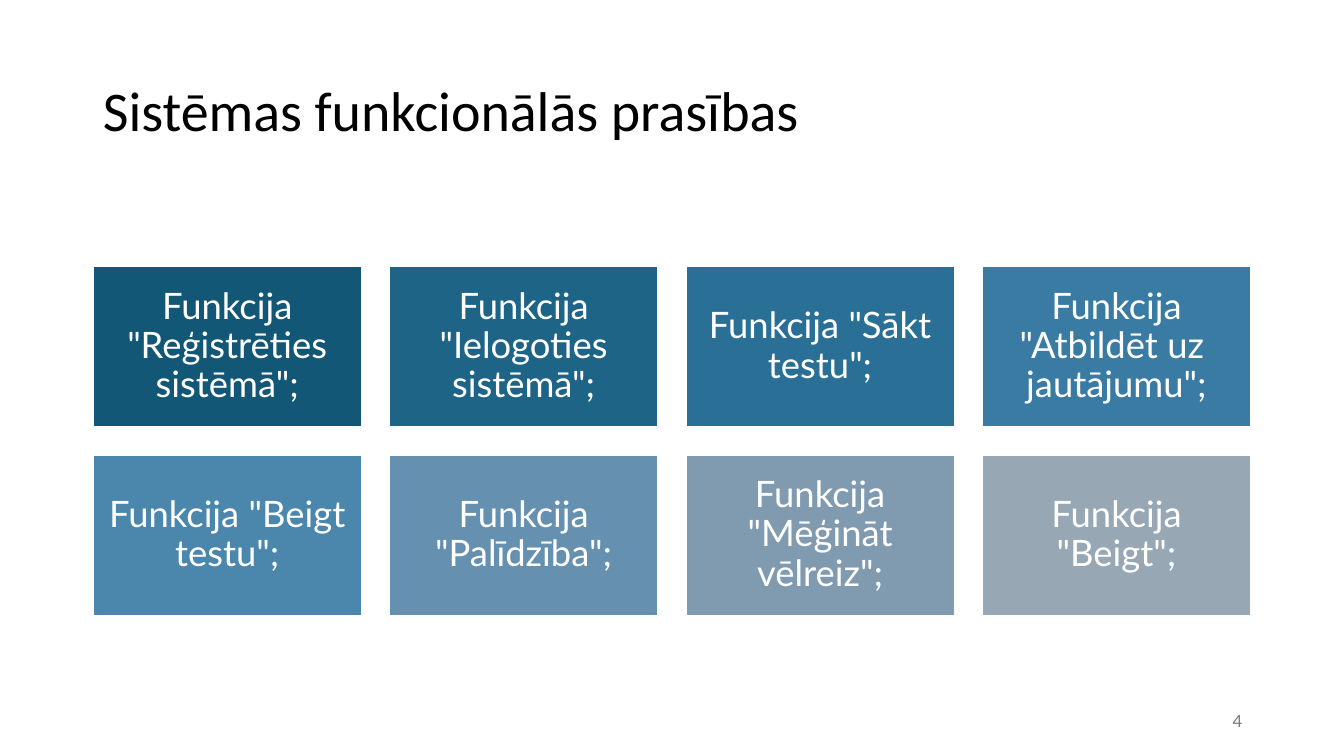
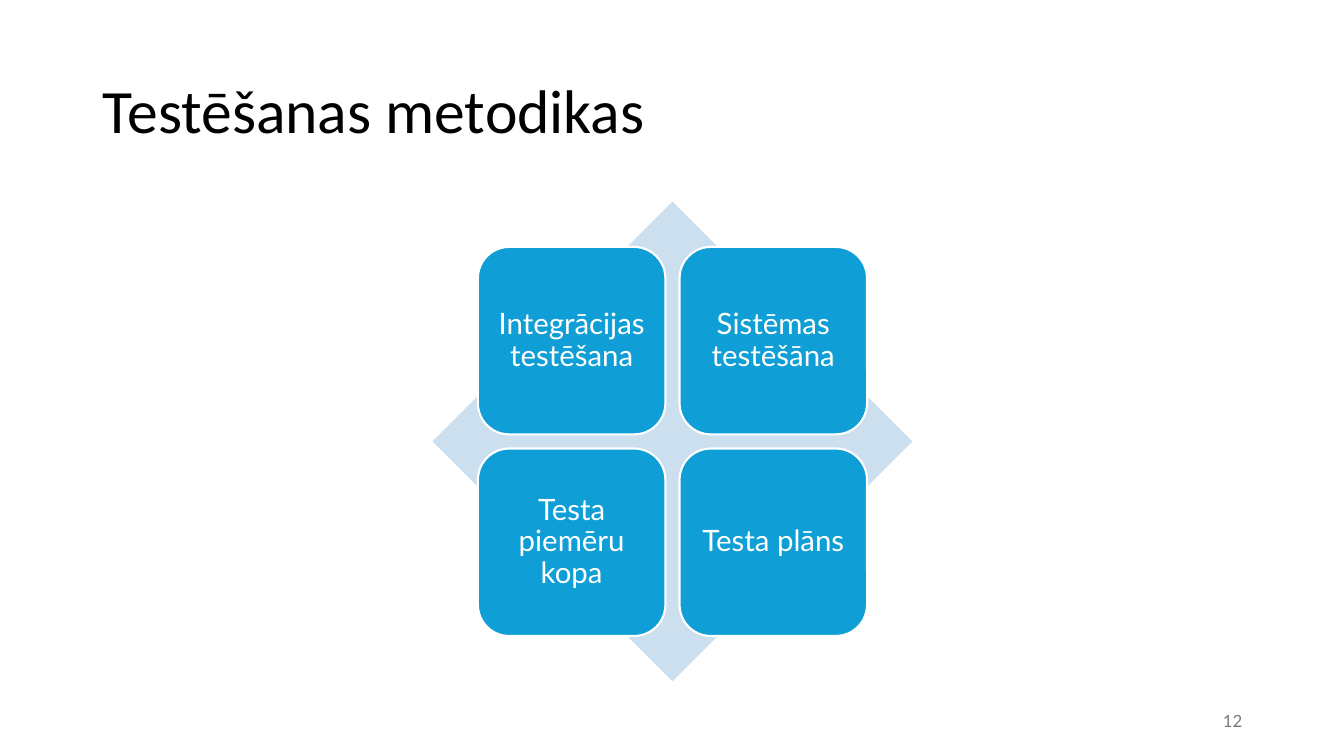
from pptx import Presentation
from pptx.dml.color import RGBColor
from pptx.enum.shapes import MSO_SHAPE as Shape
from pptx.enum.text import MSO_ANCHOR as Anchor, MSO_AUTO_SIZE as AutoSize, PP_ALIGN as Align
from pptx.util import Inches, Pt


def rgb(value):
    return RGBColor.from_string(value)


class Deck:
    TITLE_FONT = "Calibri"
    BODY_FONT = "Lato"
    BLACK = "000000"
    WHITE = "FFFFFF"
    GREY = "797979"
    TITLE_LAYOUT = 5

    def __init__(self):
        self.presentation = Presentation()
        self.presentation.slide_width = Inches(13.33)
        self.presentation.slide_height = Inches(7.5)
        self.slide = None

    def new_slide(self, title, title_size, number):
        layout = self.presentation.slide_layouts[self.TITLE_LAYOUT]
        self.slide = self.presentation.slides.add_slide(layout)
        heading = self.slide.shapes.title
        heading.left, heading.top = Inches(0.92), Inches(0.4)
        heading.width, heading.height = Inches(11.5), Inches(1.45)
        self.set_text(heading.text_frame, title, title_size, self.BLACK,
                      Align.LEFT, self.TITLE_FONT, spacing=0.9)
        self.page_number(number)

    def page_number(self, number):
        footer = self.slide.shapes.add_textbox(
            Inches(9.42), Inches(6.95), Inches(3), Inches(0.4))
        self.set_text(footer.text_frame, str(number), 12, self.GREY, Align.RIGHT)

    def set_text(self, frame, text, size, color, align, font=BODY_FONT, spacing=1.0):
        frame.text = text
        frame.word_wrap = True
        frame.auto_size = AutoSize.NONE
        frame.vertical_anchor = Anchor.MIDDLE
        paragraph = frame.paragraphs[0]
        paragraph.alignment = align
        paragraph.line_spacing = spacing
        for run in paragraph.runs:
            run.font.name = font
            run.font.size = Pt(size)
            run.font.color.rgb = rgb(color)

    def block(self, kind, left, top, width, height, fill, outlined=True):
        block = self.slide.shapes.add_shape(
            kind, Inches(left), Inches(top), Inches(width), Inches(height))
        block.shadow.inherit = False
        block.fill.solid()
        block.fill.fore_color.rgb = rgb(fill)
        if outlined:
            block.line.color.rgb = rgb(self.WHITE)
            block.line.width = Pt(1.5)
        else:
            block.line.fill.background()
        return block

    def grid(self, kind, entries, columns, origin, size, gap, text_size, inset):
        (left, top), (width, height) = origin, size
        for index, (label, fill) in enumerate(entries):
            row, column = divmod(index, columns)
            tile = self.block(kind, left + column * (width + gap),
                              top + row * (height + gap), width, height, fill)
            frame = tile.text_frame
            frame.margin_left = frame.margin_right = Inches(inset)
            frame.margin_top = frame.margin_bottom = Inches(inset)
            self.set_text(frame, label, text_size, self.WHITE, Align.CENTER, spacing=0.9)


def functional_requirements(deck):
    functions = [
        ('Funkcija "Reģistrēties sistēmā";', "135776"),
        ('Funkcija "Ielogoties sistēmā";', "1E6487"),
        ('Funkcija "Sākt testu";', "2A7096"),
        ('Funkcija "Atbildēt uz  jautājumu";', "3A7BA3"),
        ('Funkcija "Beigt testu";', "4B86AD"),
        ('Funkcija "Palīdzība";', "6590AF"),
        ('Funkcija "Mēģināt vēlreiz";', "809BB0"),
        ('Funkcija "Beigt";', "98A7B4"),
    ]
    deck.new_slide("Sistēmas funkcionālās prasības", 40, 4)
    deck.grid(Shape.RECTANGLE, functions, columns=4, origin=(0.92, 2.64),
              size=(2.67, 1.6), gap=0.27, text_size=26, inset=0.11)


def testing_methods(deck):
    methods = ["Integrācijas testēšana", "Sistēmas testēšāna",
               "Testa piemēru kopa", "Testa plāns"]
    deck.new_slide("Testēšanas metodikas", 44, 12)
    deck.block(Shape.DIAMOND, 4.29, 2, 4.76, 4.76, "CCDFEF", outlined=False)
    deck.grid(Shape.ROUNDED_RECTANGLE, [(method, "0F9ED5") for method in methods],
              columns=2, origin=(4.74, 2.45), size=(1.86, 1.86), gap=0.14,
              text_size=21, inset=0.09)


def main():
    deck = Deck()
    functional_requirements(deck)
    testing_methods(deck)
    deck.presentation.save("out.pptx")


if __name__ == "__main__":
    main()
